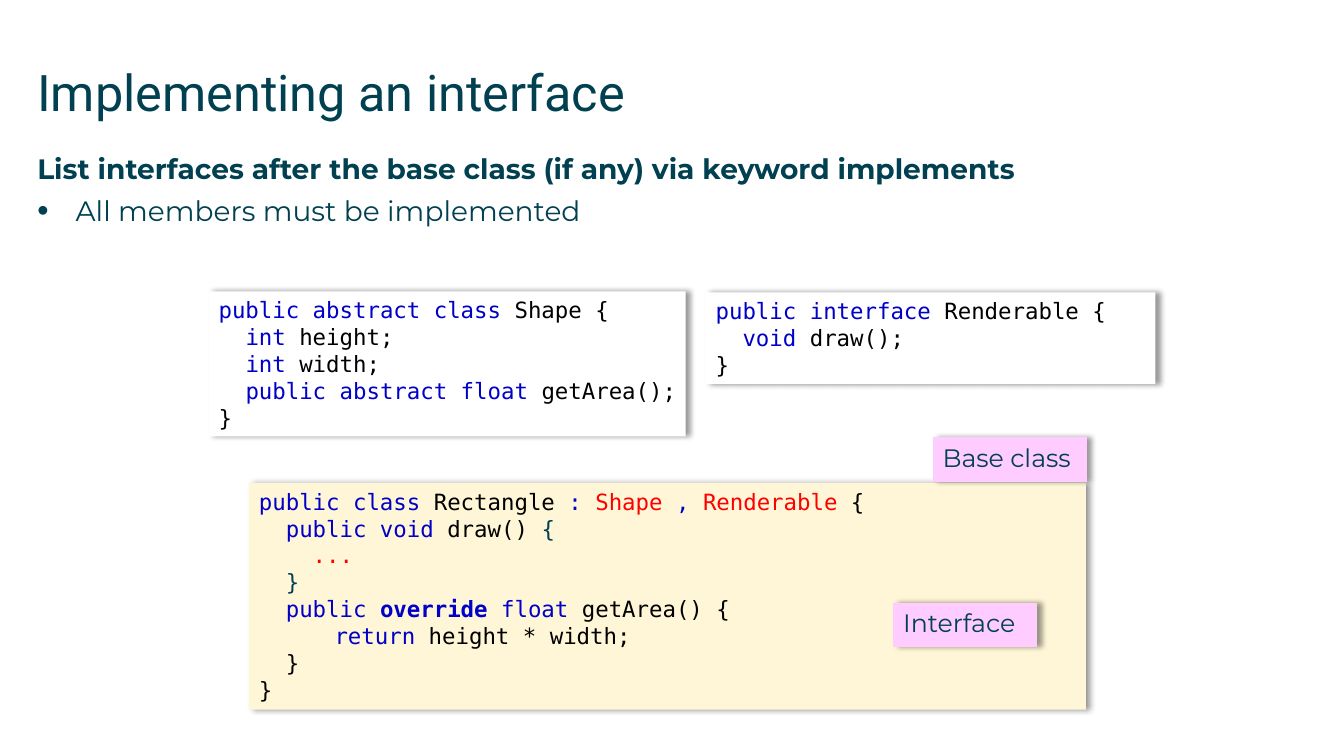
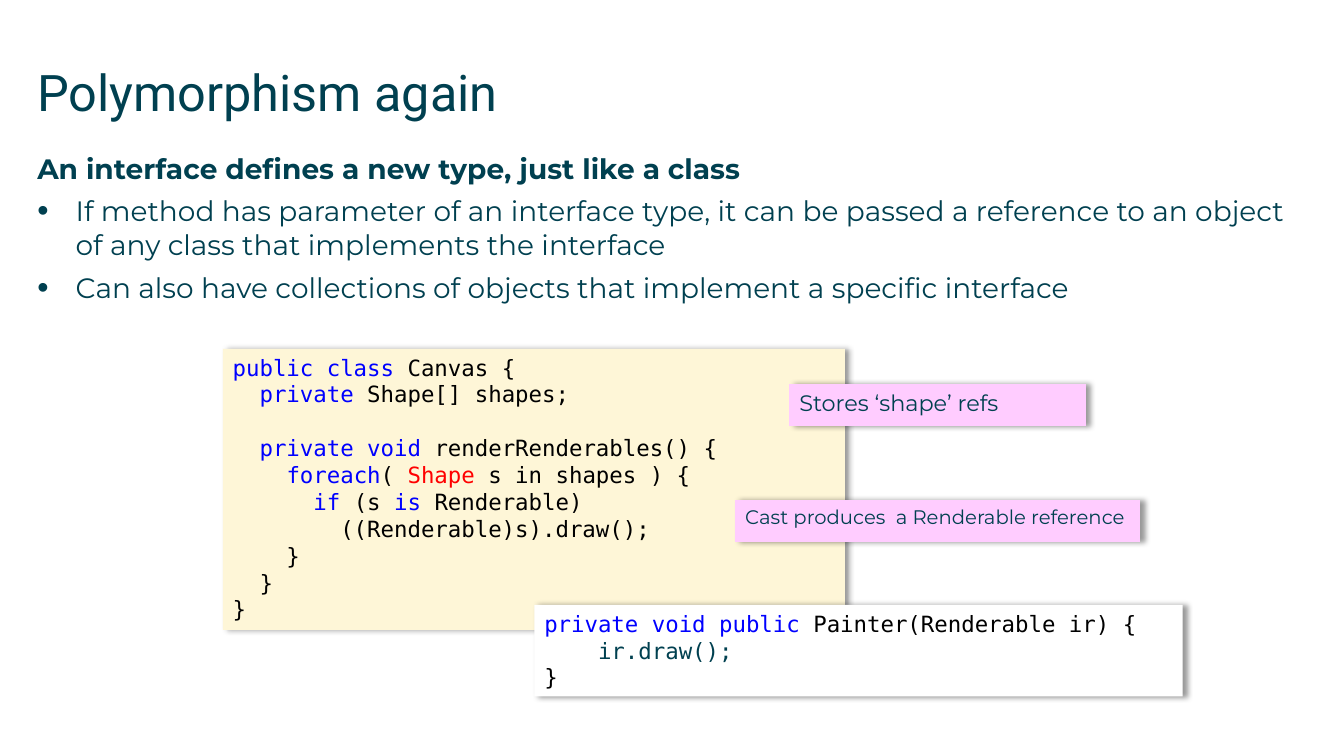
from dataclasses import dataclass

from lxml import etree
from pptx import Presentation
from pptx.dml.color import RGBColor
from pptx.enum.shapes import MSO_SHAPE
from pptx.enum.text import MSO_ANCHOR, PP_ALIGN
from pptx.oxml import parse_xml
from pptx.oxml.ns import nsdecls, qn
from pptx.util import Inches, Pt


@dataclass(frozen=True)
class Theme:
    teal: str = "004050"
    black: str = "000000"
    navy: str = "0000C8"
    blue: str = "0000FF"
    red: str = "FF0000"
    white: str = "FFFFFF"
    cream: str = "FEF6D7"
    pink: str = "FFCCFF"
    title_font: str = "Roboto"
    body_font: str = "Montserrat"
    code_font: str = "DejaVu Sans Mono"
    title_size: int = 36
    body_size: int = 20
    code_size: int = 16
    body_gap: float = 6.5
    code_blank_line: float = 19.2
    tab_step: float = 0.375


theme = Theme()
TEAL, BLACK, NAVY, BLUE, RED = theme.teal, theme.black, theme.navy, theme.blue, theme.red


def add_run(paragraph, text, font, size, colour=TEAL, bold=False):
    run = paragraph.add_run()
    run.text = text
    run.font.name = font
    run.font.size = Pt(size)
    run.font.bold = bold
    run.font.color.rgb = RGBColor.from_string(colour)


def add_panel(slide, preset, box, fill):
    shape = slide.shapes.add_shape(preset, *[Inches(length) for length in box])
    shape.fill.solid()
    shape.fill.fore_color.rgb = RGBColor.from_string(fill)
    shape.line.fill.background()
    shape.shadow.inherit = False
    shape._element.spPr.find(qn("a:effectLst")).append(parse_xml(
        f'<a:outerShdw {nsdecls("a")} blurRad="{Pt(4)}" dist="{Pt(3)}" dir="0" algn="l" '
        f'rotWithShape="0"><a:srgbClr val="{BLACK}"><a:alpha val="40000"/></a:srgbClr></a:outerShdw>'))
    shape.text_frame.word_wrap = True
    shape.text_frame.vertical_anchor = MSO_ANCHOR.TOP
    return shape


shape_code = [
    [("public abstract class ", NAVY), ("Shape {", BLACK)],
    [("  ", BLACK), ("int", NAVY), (" height;", BLACK)],
    [("  ", BLACK), ("int", NAVY), (" width;", BLACK)],
    [("  ", BLACK), ("public abstract float ", NAVY), ("getArea();", BLACK)],
    [("}", BLACK)],
]
renderable_code = [
    [("public interface ", NAVY), ("Renderable {", BLACK)],
    [("  ", BLACK), ("void", NAVY), (" draw();", BLACK)],
    [("}", BLACK)],
]
rectangle_code = [
    [("public class", NAVY), (" Rectangle ", BLACK), (": ", NAVY), ("Shape ", RED),
     (", ", NAVY), ("Renderable", RED), (" {", BLACK)],
    [("  ", BLACK), ("public void", NAVY), (" draw() ", BLACK), ("{", TEAL)],
    [("    ...", RED)],
    [("  }", TEAL)],
    [("  ", BLACK), ("public ", NAVY), ("override ", NAVY, True), ("float ", NAVY),
     ("getArea() {", BLACK)],
    [("\t\treturn", NAVY), (" height * width;", BLACK)],
    [("  }", BLACK)],
    [("}", BLACK)],
]
canvas_code = [
    [("public class ", BLUE), ("Canvas {", BLACK)],
    [("  ", BLACK), ("private", BLUE), (" Shape[] shapes;", BLACK)],
    [],
    [("  ", BLACK), ("private void ", BLUE), ("renderRenderables() {", BLACK)],
    [("    ", BLACK), ("foreach", BLUE), ("( ", BLACK), ("Shape", RED),
     (" s in shapes ) {", BLACK)],
    [("      if", BLUE), (" (s ", BLACK), ("is ", BLUE), ("Renderable)", BLACK)],
    [("        ((Renderable)s).draw();", BLACK)],
    [("    }", BLACK)],
    [("  }", BLACK)],
    [("}", BLACK)],
]
painter_code = [
    [("private void public ", BLUE), ("Painter(Renderable ir) {", BLACK)],
    [("    ir.draw();", TEAL)],
    [("}", BLACK)],
]

slides = [
    {
        "title": "Implementing an interface",
        "lead": "List interfaces after the base class (if any) via keyword implements",
        "bullets": ["All members must be implemented"],
        "body_box": (0.37, 1.5, 11.08, 0.81),
        "code": [
            ((2.07, 2.89, 4.73, 1.44), theme.white, shape_code),
            ((7, 2.9, 4.46, 0.91), theme.white, renderable_code),
            ((2.47, 4.79, 8.3, 2.25), theme.cream, rectangle_code),
        ],
        "callouts": [
            ((9.25, 4.34, 1.53, 0.44), "Base class", 18, PP_ALIGN.LEFT,
             (0.28, -0.06, 0.28, -0.57, 1.01, -0.9)),
            ((8.86, 5.98, 1.43, 0.44), "Interface", 18, PP_ALIGN.LEFT,
             (0.28, -0.06, 0.28, -0.29, -0.42, -0.51)),
        ],
    },
    {
        "title": "Polymorphism again",
        "lead": "An interface defines a new type, just like a class",
        "bullets": [
            "If method has parameter of an interface type, it can be passed a reference "
            "to an object of any class that implements the interface",
            "Can also have collections of objects that implement a specific interface",
        ],
        "body_box": (0.37, 1.5, 12.4, 1.48),
        "code": [
            ((2.21, 3.46, 6.17, 2.79), theme.cream, canvas_code),
            ((5.3, 6, 6.43, 0.91), theme.white, painter_code),
        ],
        "callouts": [
            ((7.83, 3.81, 2.94, 0.42), "Stores ‘shape’ refs", 16, PP_ALIGN.LEFT,
             (0.3, -0.03, 0.3, -0.03, 0.33, -0.64)),
            ((7.29, 4.96, 4.02, 0.42), "Cast produces  a Renderable reference ", 14,
             PP_ALIGN.CENTER, (0.3, -0.03, 0.3, -0.03, 0.31, -0.25)),
        ],
    },
]

presentation = Presentation()
presentation.slide_width = Inches(13.33)
presentation.slide_height = Inches(7.5)

for content in slides:
    slide = presentation.slides.add_slide(presentation.slide_layouts[6])

    frames = []
    for box in ((0.37, 0.61, 12.6, 0.88), content["body_box"]):
        frame = slide.shapes.add_textbox(*[Inches(length) for length in box]).text_frame
        frame.word_wrap = True
        frame.margin_left = frame.margin_right = frame.margin_top = frame.margin_bottom = 0
        frames.append(frame)
    title_frame, body_frame = frames

    add_run(title_frame.paragraphs[0], content["title"], theme.title_font, theme.title_size)

    lead = body_frame.paragraphs[0]
    lead.space_after = Pt(theme.body_gap)
    add_run(lead, content["lead"], theme.body_font, theme.body_size, bold=True)
    for bullet in content["bullets"]:
        paragraph = body_frame.add_paragraph()
        paragraph.level = 1
        paragraph.space_after = Pt(theme.body_gap)
        add_run(paragraph, bullet, theme.body_font, theme.body_size)
        properties = paragraph._p.get_or_add_pPr()
        properties.set("marL", str(Inches(0.38)))
        properties.set("indent", str(Inches(-0.38)))
        etree.SubElement(properties, qn("a:buSzPct"), val="115000")
        etree.SubElement(properties, qn("a:buFont"), typeface="Arial")
        etree.SubElement(properties, qn("a:buChar"), char="•")

    for box, fill, lines in content["code"]:
        frame = add_panel(slide, MSO_SHAPE.RECTANGLE, box, fill).text_frame
        frame.margin_right = 0
        paragraph = None
        for line in lines:
            if not line:
                paragraph.space_after = Pt(theme.code_blank_line)
                continue
            paragraph = frame.add_paragraph() if paragraph else frame.paragraphs[0]
            paragraph.alignment = PP_ALIGN.LEFT
            tabs = etree.SubElement(paragraph._p.get_or_add_pPr(), qn("a:tabLst"))
            for stop in range(1, 9):
                etree.SubElement(tabs, qn("a:tab"), pos=str(Inches(stop * theme.tab_step)), algn="l")
            for text, colour, *bold in line:
                add_run(paragraph, text, theme.code_font, theme.code_size, colour, bool(bold))

    for box, label, size, alignment, adjustments in content["callouts"]:
        callout = add_panel(slide, MSO_SHAPE.LINE_CALLOUT_2, box, theme.pink)
        for index, value in enumerate(adjustments):
            callout.adjustments[index] = value
        paragraph = callout.text_frame.paragraphs[0]
        paragraph.alignment = alignment
        add_run(paragraph, label, theme.body_font, size)

presentation.save("out.pptx")
